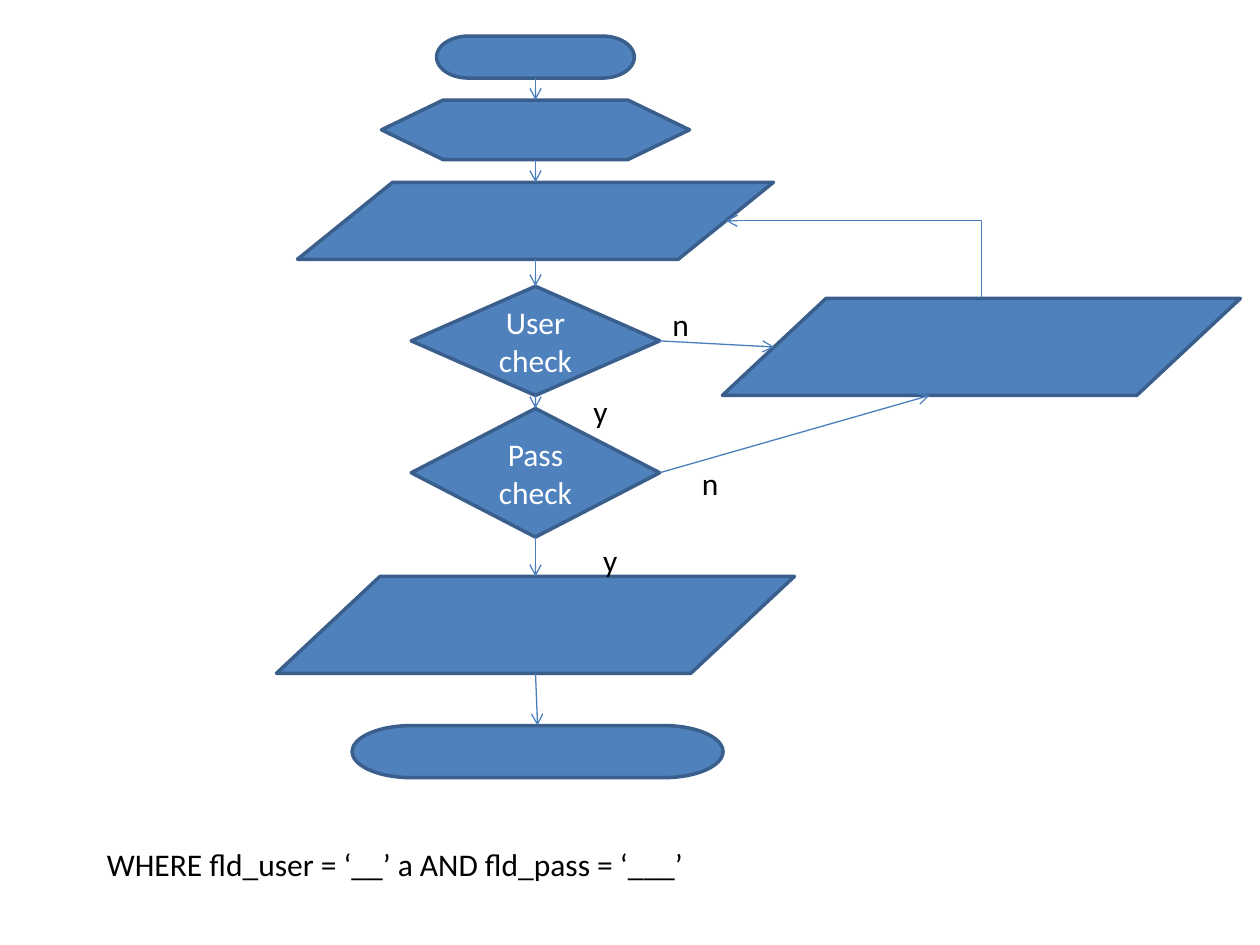
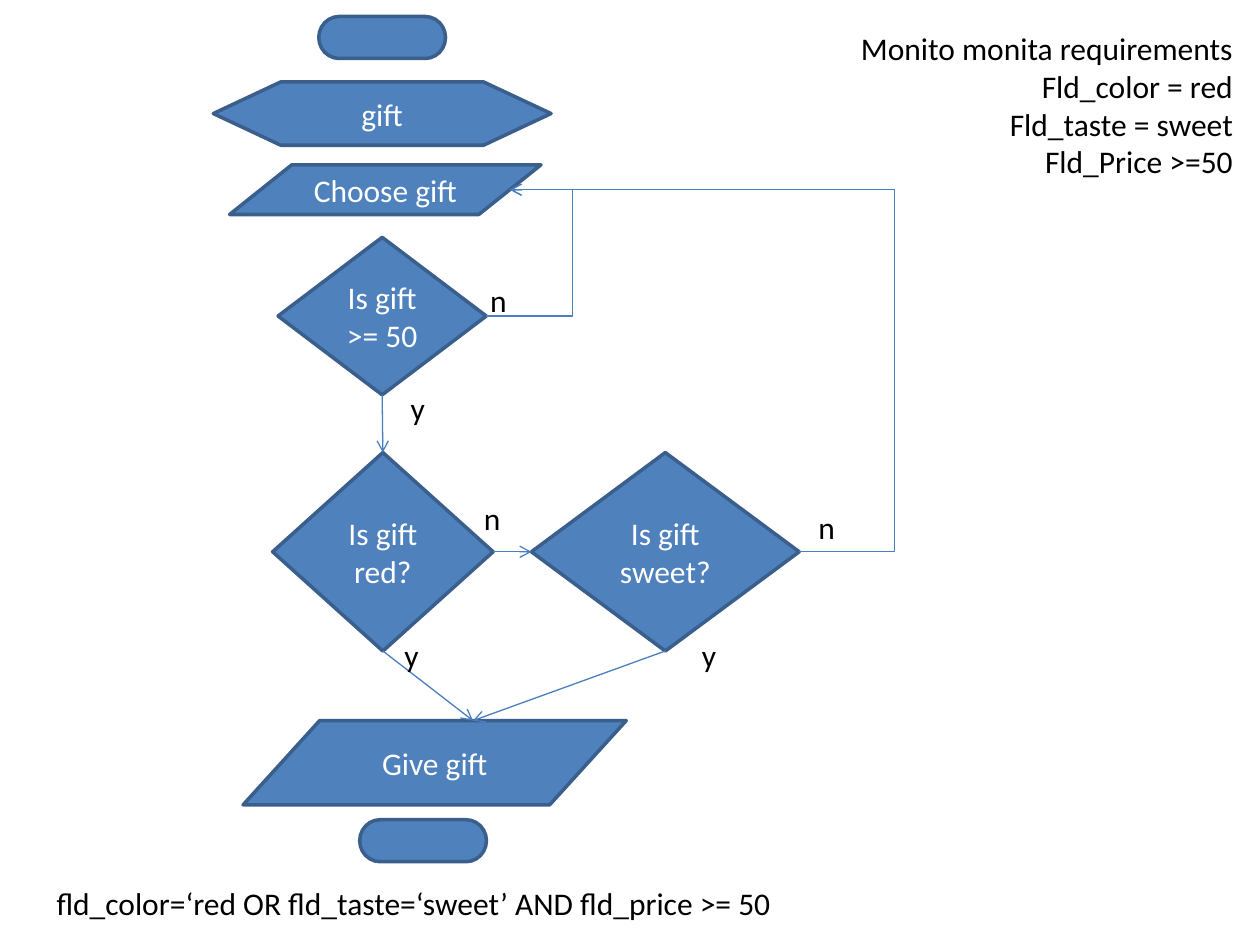
import dataclasses

import lxml.etree
import pptx
import pptx.dml.color
import pptx.enum.shapes
import pptx.enum.text
import pptx.oxml.ns
import pptx.util

Pt = pptx.util.Pt
SHAPE = pptx.enum.shapes.MSO_SHAPE
CONNECTOR = pptx.enum.shapes.MSO_CONNECTOR
ALIGN = pptx.enum.text.PP_ALIGN
TOP, LEFT, BOTTOM, RIGHT = range(4)


@dataclasses.dataclass(frozen=True)
class Theme:
    font: str = "Calibri"
    size: float = 18
    fill: str = "4F81BD"
    outline: str = "3A5F8C"
    outline_width: float = 2
    arrow: str = "4B7EBC"
    arrow_width: float = 0.75
    on_fill: str = "FFFFFF"
    ink: str = "000000"


class Flowchart:
    """Draws flowchart elements, in points, on the current slide."""

    def __init__(self, prs, theme):
        self.prs, self.theme, self.s = prs, theme, None

    def new_slide(self):
        self.s = self.prs.slides.add_slide(self.prs.slide_layouts[6])

    def rgb(self, value):
        return pptx.dml.color.RGBColor.from_string(value)

    def add_lines(self, tf, lines, color, align):
        for i, line in enumerate(lines):
            p = tf.paragraphs[0] if i == 0 else tf.add_paragraph()
            p.alignment = align
            r = p.add_run()
            r.text = line
            r.font.name = self.theme.font
            r.font.size = Pt(self.theme.size)
            r.font.color.rgb = self.rgb(color)

    def node(self, kind, center, top, width, height, text=None):
        sp = self.s.shapes.add_shape(
            kind, Pt(center - width / 2), Pt(top), Pt(width), Pt(height))
        sp.shadow.inherit = False
        sp.fill.solid()
        sp.fill.fore_color.rgb = self.rgb(self.theme.fill)
        sp.line.color.rgb = self.rgb(self.theme.outline)
        sp.line.width = Pt(self.theme.outline_width)
        if text:
            sp.text_frame.vertical_anchor = pptx.enum.text.MSO_ANCHOR.MIDDLE
            self.add_lines(sp.text_frame, [text], self.theme.on_fill,
                           ALIGN.CENTER)
        return sp

    def terminator(self, *box):
        return self.node(SHAPE.FLOWCHART_TERMINATOR, *box)

    def preparation(self, *box):
        return self.node(SHAPE.FLOWCHART_PREPARATION, *box)

    def data(self, *box):
        return self.node(SHAPE.FLOWCHART_DATA, *box)

    def decision(self, *box):
        return self.node(SHAPE.DIAMOND, *box)

    def label(self, left, top, width, *lines, height=29, align=ALIGN.LEFT):
        sp = self.s.shapes.add_textbox(Pt(left), Pt(top), Pt(width), Pt(height))
        tf = sp.text_frame
        tf.word_wrap = False
        tf.auto_size = pptx.enum.text.MSO_AUTO_SIZE.SHAPE_TO_FIT_TEXT
        self.add_lines(tf, lines, self.theme.ink, align)

    def yes(self, left, top):
        self.label(left, top, 23, "y")

    def no(self, left, top):
        self.label(left, top, 24.5, "n")

    def anchor(self, sp, side, along=0.5):
        """Point on a side; slanted data shapes are met on their slopes."""
        inset = 0.1 if sp.auto_shape_type == SHAPE.FLOWCHART_DATA else 0
        fx, fy = {TOP: (along, 0), LEFT: (inset, 0.5),
                  BOTTOM: (along, 1), RIGHT: (1 - inset, 0.5)}[side]
        return int(sp.left + fx * sp.width), int(sp.top + fy * sp.height)

    def connector(self, kind, start, end):
        c = self.s.shapes.add_connector(
            kind, *self.anchor(*start), *self.anchor(*end))
        c.line.color.rgb = self.rgb(self.theme.arrow)
        c.line.width = Pt(self.theme.arrow_width)
        qn = pptx.oxml.ns.qn
        props = next(c.element.iter(qn("p:spPr")))
        outline = next(props.iter(qn("a:ln")))
        lxml.etree.SubElement(outline, qn("a:tailEnd"), type="arrow")
        lxml.etree.SubElement(props, qn("a:effectLst"))
        return c

    def arrow(self, start, end):
        """Straight arrow, joined to every shape except slanted data ones."""
        c = self.connector(CONNECTOR.STRAIGHT, start, end)
        for join, (sp, side, *_) in ((c.begin_connect, start),
                                     (c.end_connect, end)):
            if sp.auto_shape_type != SHAPE.FLOWCHART_DATA:
                join(sp, side)

    def loop_back(self, start, end, turn_x):
        """Elbow arrow whose vertical part stands at turn_x."""
        c = self.connector(CONNECTOR.ELBOW, start, end)
        qn = pptx.oxml.ns.qn
        ratio = (Pt(turn_x) - c.begin_x) / (c.end_x - c.begin_x)
        guides = next(c.element.iter(qn("a:avLst")))
        lxml.etree.SubElement(guides, qn("a:gd"), name="adj1",
                              fmla=f"val {round(ratio * 100000)}")


def login_slide(f):
    f.new_slide()
    axis = 306
    start = f.terminator(axis, 20.6, 113, 24)
    setup = f.preparation(axis, 57.2, 176, 34)
    entry = f.data(axis, 104.2, 272, 44)
    user = f.decision(axis, 163.6, 142, 62.4, "User check")
    password = f.decision(axis, 233.4, 142, 73.5, "Pass check")
    success = f.data(axis, 329.4, 296, 55.4)
    failure_x = 560.8
    failure = f.data(failure_x, 170.6, 296, 55.4)
    end = f.terminator(307.2, 414.6, 212, 29.8)

    steps = [start, setup, entry, user, password, success, end]
    for upper, lower in zip(steps, steps[1:]):
        f.arrow((upper, BOTTOM), (lower, TOP))
    f.arrow((user, RIGHT), (failure, LEFT))
    f.arrow((password, RIGHT), (failure, BOTTOM, 0.4))
    f.loop_back((failure, TOP), (entry, RIGHT), failure_x)

    f.yes(332, 220.4)
    f.yes(337.6, 305.4)
    f.no(377.2, 170.6)
    f.no(394, 261.6)
    f.label(54, 479.6, 355.6, "WHERE fld_user = ‘__’ a AND fld_pass = ‘___’")


def gift_slide(f):
    f.new_slide()
    axis = 218.4
    f.terminator(axis, 9.4, 72.4, 24)
    f.preparation(axis, 46.8, 193, 36.2, "gift")
    choose = f.data(220.2, 94.2, 178, 28.4, "Choose gift")
    price = f.decision(axis, 135.6, 119, 90, "Is gift >= 50")
    red = f.decision(218.8, 258.6, 126, 113.4, "Is gift red?")
    sweet = f.decision(380.2, 258.6, 153, 113.4, "Is gift sweet?")
    give = f.data(248.4, 411.8, 219, 48.2, "Give gift")
    f.terminator(241.8, 468.4, 72.4, 24)

    f.arrow((price, BOTTOM), (red, TOP))
    f.arrow((red, RIGHT), (sweet, LEFT))
    for check in (red, sweet):
        f.arrow((check, BOTTOM), (give, TOP, 0.6))
    f.loop_back((price, RIGHT), (choose, RIGHT), 327)
    f.loop_back((sweet, RIGHT), (choose, RIGHT), 511.2)

    for left, top in ((227.6, 219), (224, 360), (394, 360)):
        f.yes(left, top)
    for left, top in ((273, 157), (269.4, 281.6), (460.6, 286.6)):
        f.no(left, top)
    f.label(482.2, 13, 229.4, "Monito monita requirements", "Fld_color = red",
            "Fld_taste = sweet", "Fld_Price >=50",
            height=94.4, align=ALIGN.RIGHT)
    f.label(25.2, 501.8, 427.6,
            "fld_color=‘red OR fld_taste=‘sweet’ AND fld_price >= 50")


def main():
    prs = pptx.Presentation()
    prs.slide_width, prs.slide_height = Pt(720), Pt(540)
    f = Flowchart(prs, Theme())
    login_slide(f)
    gift_slide(f)
    prs.save("out.pptx")


if __name__ == "__main__":
    main()
